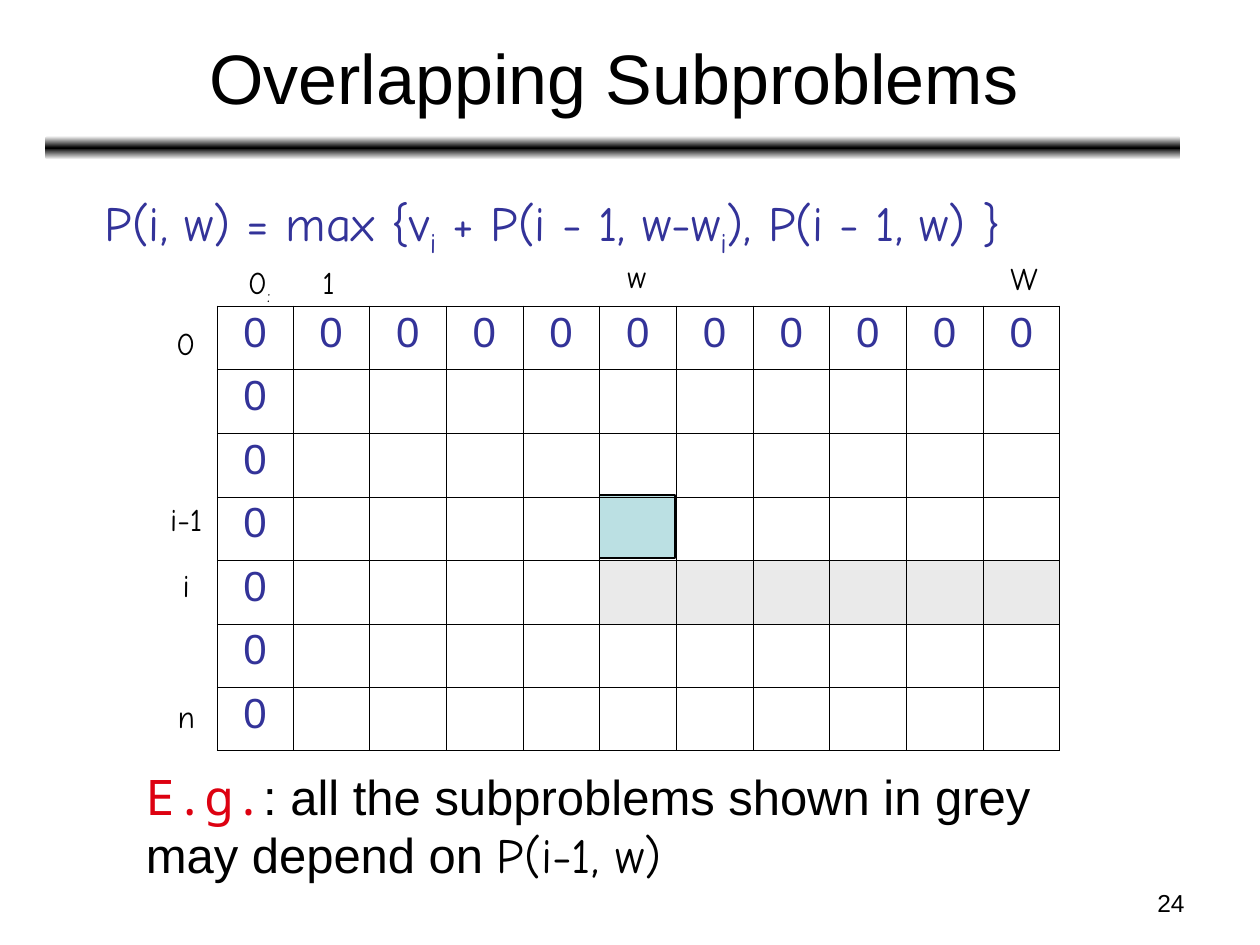
import pptx
import pptx.util
import pptx.dml.color
import pptx.enum.shapes
import pptx.enum.text
import pptx.oxml
import pptx.oxml.ns

Cm, Pt = pptx.util.Cm, pptx.util.Pt
ALIGN = pptx.enum.text.PP_ALIGN
ANCHOR = pptx.enum.text.MSO_ANCHOR
AUTO_SIZE = pptx.enum.text.MSO_AUTO_SIZE
SHAPES = pptx.enum.shapes.MSO_SHAPE

THEME = {
    "black": "000000", "white": "FFFFFF", "blue": "333399", "red": "DD0111",
    "teal": "BBE0E3", "grey": "EAEAEA",
    "sans": "Arial", "hand": "Comic Neue", "mono": "Noto Sans Mono",
    "title": 40, "body": 28, "cell": 24, "label": 18, "number": 14,
    "outer_border": 0.5, "inner_border": 0.23,
}

# Content: runs are (text, font, colour, subscript)
TITLE = "Overlapping Subproblems"
SLIDE_NUMBER = "24"
FORMULA = [
    ("P(i, w) = max {v", "hand", "blue", False),
    ("i", "hand", "blue", True),
    (" + P(i - 1, w-w", "hand", "blue", False),
    ("i", "hand", "blue", True),
    ("), P(i - 1, w) }", "hand", "blue", False),
]
EXAMPLE = [
    ("E.g.", "mono", "red", False),
    (": all the subproblems shown in grey may depend on ", "sans", "black", False),
    ("P(i-1, w)", "hand", "black", False),
]
ROWS, COLUMNS = 7, 11
GREY_ROW, FIRST_GREY_COLUMN = 4, 5

# Axis labels: text, subscript, left, top, width in cm
LABELS = [
    ("0", ":", 4.75, 5.18, 0.97),
    ("1", "", 6.25, 5.18, 0.76),
    ("w", "", 12.4, 5.05, 0.89),
    ("W", "", 20.12, 5.1, 1.04),
    ("0", "", 3.3, 6.4, 0.89),
    ("i-1", "", 3.18, 9.96, 1.2),
    ("i", "", 3.43, 11.28, 0.64),
    ("n", "", 3.33, 13.92, 0.86),
]
LABEL_HEIGHT = 1.02

# Table geometry in cm
TABLE_LEFT, TABLE_TOP = 4.38, 6.17
TABLE_WIDTH, TABLE_HEIGHT = 16.98, 8.97
FIRST_COLUMN_WIDTH = 1.52


def rgb(name):
    return pptx.dml.color.RGBColor.from_string(THEME[name])


def add_run(paragraph, text, size, font="sans", color="black", subscript=False):
    run = paragraph.add_run()
    run.text = text
    run.font.size = Pt(THEME[size])
    run.font.name = THEME[font]
    run.font.color.rgb = rgb(color)
    if subscript:
        run.font._element.set("baseline", "-25000")


def add_text(slide, box, runs, size, wrap=True, align=ALIGN.LEFT):
    shape = slide.shapes.add_textbox(*map(Cm, box))
    shape.text_frame.word_wrap = wrap
    if not wrap:
        shape.text_frame.auto_size = AUTO_SIZE.SHAPE_TO_FIT_TEXT
    paragraph = shape.text_frame.paragraphs[0]
    paragraph.alignment = align
    for text, font, color, subscript in runs:
        add_run(paragraph, text, size, font, color, subscript)


def add_title(slide):
    title = slide.shapes.title
    title.left, title.top, title.width, title.height = map(Cm, (0.94, 0.28, 22.86, 2.51))
    title.text_frame.vertical_anchor = ANCHOR.MIDDLE
    paragraph = title.text_frame.paragraphs[0]
    paragraph.alignment = ALIGN.CENTER
    add_run(paragraph, TITLE, "title")


def add_title_rule(slide):
    rule = slide.shapes.add_shape(SHAPES.ROUNDED_RECTANGLE, *map(Cm, (0.91, 2.74, 22.89, 0.48)))
    rule.shadow.inherit = False
    rule.line.fill.background()
    rule.fill.gradient()
    stops = "".join(
        f'<a:gs pos="{position}"><a:srgbClr val="{THEME[color]}"/></a:gs>'
        for position, color in ((0, "white"), (50000, "black"), (100000, "white")))
    old_list = rule._element.spPr.find(".//" + pptx.oxml.ns.qn("a:gsLst"))
    new_list = pptx.oxml.parse_xml(
        f'<a:gsLst {pptx.oxml.ns.nsdecls("a")}>{stops}</a:gsLst>')
    old_list.getparent().replace(old_list, new_list)
    rule.fill.gradient_angle = 270


def add_highlight(slide):
    cell = slide.shapes.add_shape(SHAPES.RECTANGLE, *map(Cm, (12.09, 9.98, 1.52, 1.27)))
    cell.shadow.inherit = False
    cell.fill.solid()
    cell.fill.fore_color.rgb = rgb("teal")
    cell.line.color.rgb = rgb("black")
    cell.line.width = Pt(0.75)


def set_borders(cell, row, column):
    outer_sides = {"L": column == 0, "R": column == COLUMNS - 1,
                   "T": row == 0, "B": row == ROWS - 1}
    properties = cell._tc.get_or_add_tcPr()
    for side, is_outer in outer_sides.items():
        width = Pt(THEME["outer_border" if is_outer else "inner_border"])
        properties.append(pptx.oxml.parse_xml(
            f'<a:ln{side} {pptx.oxml.ns.nsdecls("a")} w="{int(width)}"><a:solidFill>'
            f'<a:srgbClr val="{THEME["black"]}"/></a:solidFill></a:ln{side}>'))


def add_subproblem_table(slide):
    box = map(Cm, (TABLE_LEFT, TABLE_TOP, TABLE_WIDTH, TABLE_HEIGHT))
    table = slide.shapes.add_table(ROWS, COLUMNS, *box).table
    table.first_row = table.horz_banding = False
    other_width = (TABLE_WIDTH - FIRST_COLUMN_WIDTH) / (COLUMNS - 1)
    for column in range(COLUMNS):
        table.columns[column].width = Cm(other_width if column else FIRST_COLUMN_WIDTH)
    for row in range(ROWS):
        table.rows[row].height = Cm(TABLE_HEIGHT / ROWS)
        for column in range(COLUMNS):
            cell = table.cell(row, column)
            set_borders(cell, row, column)
            if row == GREY_ROW and column >= FIRST_GREY_COLUMN:
                cell.fill.solid()
                cell.fill.fore_color.rgb = rgb("grey")
            else:
                cell.fill.background()
            # Base cases fill the first row and the first column
            if row == 0 or column == 0:
                paragraph = cell.text_frame.paragraphs[0]
                paragraph.alignment = ALIGN.CENTER
                paragraph.line_spacing = 0.93
                add_run(paragraph, "0", "cell", color="blue")


def main():
    presentation = pptx.Presentation()
    presentation.slide_width, presentation.slide_height = Cm(25.4), Cm(19.05)
    slide = presentation.slides.add_slide(presentation.slide_layouts[5])

    # Heading
    add_title_rule(slide)
    add_title(slide)
    add_text(slide, (18.21, 17.78, 5.92, 0.89),
             [(SLIDE_NUMBER, "sans", "black", False)], "number", align=ALIGN.RIGHT)

    # Table over the highlighted cell
    add_highlight(slide)
    add_subproblem_table(slide)
    for text, subscript, left, top, width in LABELS:
        runs = [(text, "hand", "black", False)]
        if subscript:
            runs.append((subscript, "hand", "black", True))
        add_text(slide, (left, top, width, LABEL_HEIGHT), runs, "label", wrap=False)

    # Recurrence and example
    add_text(slide, (1.86, 3.76, 21.89, 2.01), FORMULA, "body")
    add_text(slide, (2.69, 15.32, 20.24, 2.64), EXAMPLE, "body")

    presentation.save("out.pptx")


if __name__ == "__main__":
    main()
